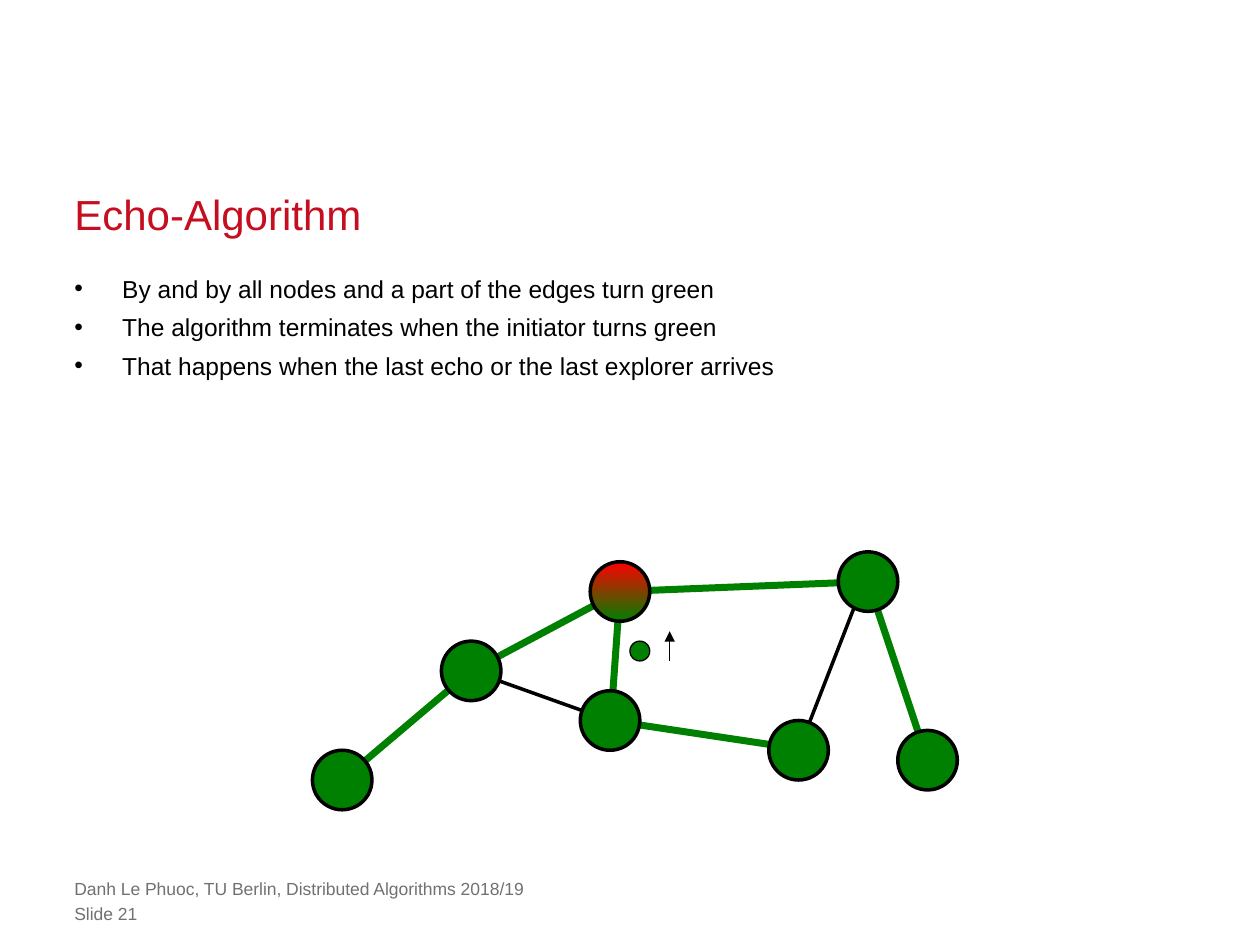
from dataclasses import dataclass

from lxml.etree import SubElement
from pptx import Presentation
from pptx.dml.color import RGBColor
from pptx.enum.shapes import MSO_CONNECTOR as CONN, MSO_SHAPE as SHAPE
from pptx.enum.text import MSO_ANCHOR as ANCHOR, MSO_AUTO_SIZE as AUTO, PP_ALIGN as ALIGN
from pptx.oxml.ns import qn
from pptx.util import Emu, Inches, Pt

COLORS = {"title": "C50E1F", "text": "000000", "footer": "717171",
          "done": "008000", "start": "FF0000", "line": "000000"}
FONT = "Arial"
LEFT = 0.59
CELL = 2 / 25.4  # graph grid step in inches
ORIGIN = (2.48, 4.38)  # top left corner of the graph grid
NODE_SIZE = 6  # cells


@dataclass(frozen=True)
class Node:
    col: float
    row: float
    size: float = NODE_SIZE
    width: float = 2
    initiator: bool = False


@dataclass(frozen=True)
class Edge:
    start: str
    end: str
    tree: bool = True
    shift: tuple[float, float] = (0, 0)  # end offset in cells


NODES = {
    "initiator": Node(31, 4, initiator=True),
    "west": Node(16, 12),
    "southeast": Node(49, 20),
    "northeast": Node(56, 3),
    "east leaf": Node(62, 21),
    "south": Node(30, 17),
    "west leaf": Node(3, 23),
}
EDGES = [
    Edge("west leaf", "west"),
    Edge("west", "initiator"),
    Edge("west", "south", tree=False),
    Edge("initiator", "northeast"),
    Edge("initiator", "south", shift=(0, 1)),
    Edge("south", "southeast", shift=(1, 0)),
    Edge("southeast", "northeast", tree=False, shift=(0, -1)),
    Edge("northeast", "east leaf"),
]
ECHO = Node(33, 10, size=2, width=0.75)
BULLETS = [
    "By and by all nodes and a part of the edges turn green",
    "The algorithm terminates when the initiator turns green",
    "That happens when the last echo or the last explorer arrives",
]
FOOTERS = [(6.97, "Danh Le Phuoc, TU Berlin, Distributed Algorithms 2018/19"),
           (7.17, "Slide 21")]


def rgb(name: str) -> RGBColor:
    return RGBColor.from_string(COLORS[name])


def grid(col: float, row: float) -> tuple[Emu, Emu]:
    return Inches(ORIGIN[0] + col * CELL), Inches(ORIGIN[1] + row * CELL)


def write(sp, lines: list[str], *, size: float, color: str, spacing: float | None = None,
          anchor=ANCHOR.TOP, bullet: str | None = None) -> None:
    tf = sp.text_frame
    tf.word_wrap, tf.auto_size, tf.vertical_anchor = True, AUTO.NONE, anchor
    tf.margin_left = tf.margin_top = tf.margin_right = tf.margin_bottom = 0
    for i, line in enumerate(lines):
        p = tf.add_paragraph() if i else tf.paragraphs[0]
        p.alignment = ALIGN.LEFT
        p.space_before = p.space_after = Pt(0)
        if spacing:
            p.line_spacing = Pt(spacing)
        if bullet:
            pPr = p._p.get_or_add_pPr()
            pPr.set("marL", str(Inches(0.38)))
            pPr.set("indent", str(-Inches(0.38)))
            SubElement(pPr, qn("a:buFont")).set("typeface", FONT)
            SubElement(pPr, qn("a:buChar")).set("char", bullet)
        r = p.add_run()
        r.text = line
        r.font.name, r.font.size = FONT, Pt(size)
        r.font.color.rgb = rgb(color)


def place(sp, left: float, top: float, width: float, height: float) -> None:
    sp.left, sp.top = Inches(left), Inches(top)
    sp.width, sp.height = Inches(width), Inches(height)


def add_line(s, start: tuple[float, float], end: tuple[float, float], color: str,
             width: float, arrow: bool = False) -> None:
    c = s.shapes.add_connector(CONN.STRAIGHT, *grid(*start), *grid(*end))
    c.line.color.rgb, c.line.width = rgb(color), Pt(width)
    if arrow:
        SubElement(c.line._get_or_add_ln(), qn("a:tailEnd")).set("type", "triangle")
    SubElement(c._element.spPr, qn("a:effectLst"))


def add_edge(s, edge: Edge) -> None:
    a, b = NODES[edge.start], NODES[edge.end]
    color, width = ("done", 4) if edge.tree else ("line", 2)
    end = (b.col + edge.shift[0], b.row + edge.shift[1])
    add_line(s, (a.col, a.row), end, color, width)


def add_node(s, node: Node) -> None:
    half, side = node.size / 2, Inches(node.size * CELL)
    sp = s.shapes.add_shape(SHAPE.OVAL, *grid(node.col - half, node.row - half), side, side)
    sp.shadow.inherit = False
    if node.initiator:
        sp.fill.gradient()
        sp.fill.gradient_angle = 270  # top to bottom
        for stop, position, color in zip(sp.fill.gradient_stops, (0, 1), ("start", "done")):
            stop.position, stop.color.rgb = position, rgb(color)
    else:
        sp.fill.solid()
        sp.fill.fore_color.rgb = rgb("done")
    sp.line.color.rgb, sp.line.width = rgb("line"), Pt(node.width)


def main() -> None:
    prs = Presentation()
    prs.slide_width, prs.slide_height = Inches(10), Inches(7.5)
    s = prs.slides.add_slide(prs.slide_layouts[1])

    # Title and list
    title, body = s.shapes.title, s.placeholders[1]
    place(title, LEFT, 1.48, 8.82, 0.42)
    write(title, ["Echo-Algorithm"], size=24, color="title", spacing=30, anchor=ANCHOR.BOTTOM)
    place(body, LEFT, 2.1, 8.82, 4.45)
    write(body, BULLETS, size=14, color="text", spacing=22, bullet="•")

    # Graph: edges below nodes
    for edge in EDGES:
        add_edge(s, edge)
    for node in NODES.values():
        add_node(s, node)

    # Echo message moving up to the initiator
    add_line(s, (36, 11), (36, 8), "line", 0.75, arrow=True)
    add_node(s, ECHO)

    # Footer
    for top, text in FOOTERS:
        tb = s.shapes.add_textbox(Inches(LEFT), Inches(top), Inches(7.24), Inches(0.17))
        write(tb, [text], size=10, color="footer")

    prs.save("out.pptx")


if __name__ == "__main__":
    main()
